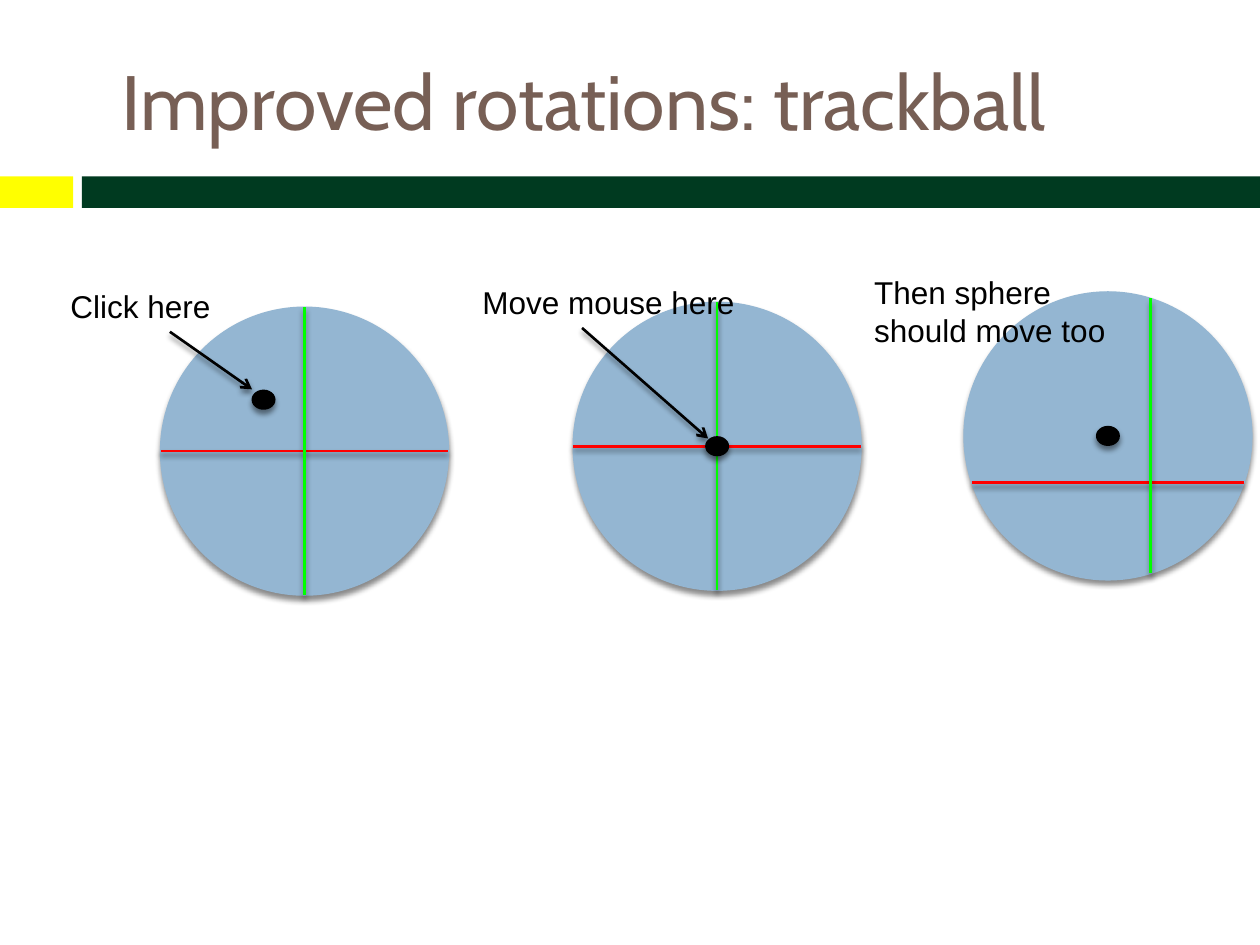
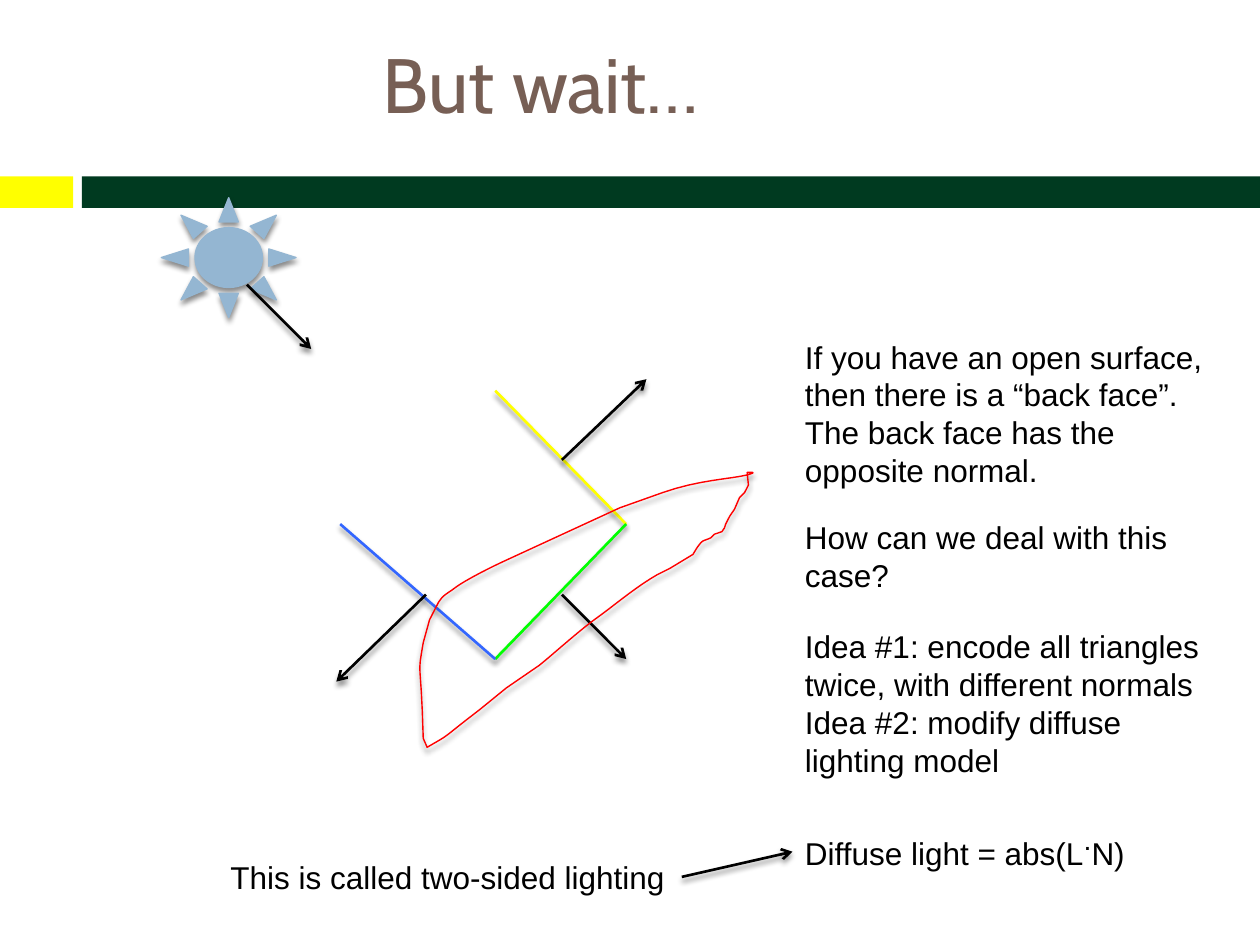
import math
from dataclasses import dataclass

import lxml.etree
import pptx
import pptx.dml.color
import pptx.enum.shapes
import pptx.enum.text
import pptx.oxml.ns
import pptx.util

Pt = pptx.util.Pt
qn = pptx.oxml.ns.qn
SHAPE = pptx.enum.shapes.MSO_SHAPE


@dataclass(frozen=True)
class Theme:
    title_font: str = "Cabin"
    body_font: str = "Arial"
    title_size: float = 44
    body_size: float = 18
    dot_size: float = 28
    line: float = 1.5
    outline: float = 0.79
    title: str = "775F55"
    black: str = "000000"
    sphere: str = "94B6D2"
    red: str = "FF0000"
    green: str = "00FF00"
    blue: str = "3366FF"
    yellow: str = "FFFF00"
    band: str = "003A20"


THEME = Theme()
TITLE_FORMAT = {"name": THEME.title_font, "size": Pt(THEME.title_size)}
BODY_FORMAT = {"name": THEME.body_font, "size": Pt(THEME.body_size)}
SHADOW = {"blurRad": Pt(3), "dist": Pt(2.4), "dir": 90 * 60000, "rotWithShape": 0}

# Boxes are (left, top, width, height); every length is in points.
BANDS = [((0, 100.8, 41.8, 18), THEME.yellow), ((46.8, 100.8, 673.2, 18), THEME.band)]

TRACKBALL_TITLE = ("Improved rotations: trackball", (48.2, 18, 571, 77.8))
BALL_DIAMETER = 164.5
DOT_SIZE = (13.7, 11.5)
POINTER_OFFSET = (64, 29)
# centre of the ball, shift of its axes, shift of the clicked dot
TRACKBALLS = [
    {"centre": (174, 257.8), "axes": (0, 0), "dot": (-23.4, -29.4), "pointer_end": (144, 222.5),
     "caption": "Click here", "box": (33.1, 160.6, 95, 28.8), "wrap": False},
    {"centre": (409.8, 255), "axes": (0, 0), "dot": (0, 0), "pointer_end": (404.6, 250.6),
     "caption": "Move mouse here", "box": (268.6, 158.4, 159.8, 28.8), "wrap": False},
    {"centre": (633.1, 249.1), "axes": (24.4, 26.6), "dot": (0, 0), "pointer_end": None,
     "caption": "Then sphere should move too", "box": (492.5, 152.6, 172.8, 51.1), "wrap": True},
]

LIGHTING_TITLE = ("But wait…", (-9.4, 8.6, 637.2, 77.8))
SUN = (92.2, 113, 77, 68.4)
UPPER_CORNER, LOWER_CORNER = (357.8, 299.5), (283, 376.6)
SURFACE = [
    (UPPER_CORNER, (283, 223.2), THEME.yellow),
    (UPPER_CORNER, LOWER_CORNER, THEME.green),
    ((194.4, 299.5), LOWER_CORNER, THEME.blue),
]
ARROWS = [
    ((321.1, 339.8), (357.8, 376.6)),
    ((321.1, 262.8), (369.4, 216.7)),
    ((243.4, 339.8), (192.2, 389.5)),
    ((141.1, 162.7), (177.8, 199.4)),
]
# Two numbers are a straight step, six are a cubic curve.
LASSO_START = (427, 271.4)
LASSO = [
    (418.3, 273.6, 398.9, 274.3, 378.7, 281.5), (354.2, 290.2), (290.2, 319.7),
    (282.2, 323.3, 266.4, 331.2, 260.6, 335.5), (254.9, 339.8, 253.4, 339.8, 250.6, 344.2),
    (245.5, 354.2), (241.9, 367.2), (238.3, 388.1, 240.5, 373, 241.9, 421.9), (244.1, 427),
    (259.2, 418.3, 249.8, 424.1, 274.3, 405.4), (289.4, 393.1), (308.2, 380.2),
    (319.7, 370.8, 331.2, 360, 343.4, 351.4), (354.2, 343.4, 364.3, 334.8, 375.8, 328.3),
    (383, 324.7), (392.4, 319), (396, 316.8), (398.2, 313.2),
    (401.8, 308.2, 401, 309.6, 406.1, 307.4), (408.2, 305.3), (412.6, 303.8), (414, 301.7),
    (414.7, 299.5), (416.9, 295.2), (419.8, 290.9), (422.6, 284.4), (425.5, 281.5),
    (427.7, 277.2), (427, 270), (426.2, 270, 434.9, 269.3, 427, 271.4),
]
NOTES_LEFT, NOTES_WIDTH = 452.9, 255.6
NOTES = [
    (189.4, 94.3, ["If you have an open surface, then there is a “back face”.",
                   "The back face has the opposite normal."]),
    (292.3, 51.1, ["How can we deal with this case?"]),
    (355, 160.6, ["Idea #1: encode all triangles", "twice, with different normals",
                  "Idea #2: modify diffuse lighting model"]),
]
FORMULA = ("Diffuse light = abs(L", ".", "N)")
FORMULA_GAP = 21.5
CONCLUSION = ("This is called two-sided lighting", (124.6, 486.7, 265, 28.8))
CONCLUSION_ARROW_END = (452.9, 486.7)


def color(value):
    return pptx.dml.color.RGBColor.from_string(value)


def points(values):
    return [Pt(value) for value in values]


def set_font(font, values, font_color):
    for name, value in values.items():
        setattr(font, name, value)
    font.color.rgb = color(font_color)


def add_shadow(shape):
    """Give the shape the soft drop shadow; call after fill and line are set."""
    effects = lxml.etree.SubElement(shape.element.spPr, qn("a:effectLst"))
    shadow = lxml.etree.SubElement(effects, qn("a:outerShdw"))
    for name, value in SHADOW.items():
        shadow.set(name, str(value))
    shade = lxml.etree.SubElement(shadow, qn("a:srgbClr"), val=THEME.black)
    lxml.etree.SubElement(shade, qn("a:alpha"), val="45000")


def add_filled(slide, kind, box, fill, outlined=False):
    shape = slide.shapes.add_shape(kind, *points(box))
    shape.fill.solid()
    shape.fill.fore_color.rgb = color(fill)
    if outlined:
        shape.line.color.rgb = color(fill)
        shape.line.width = Pt(THEME.outline)
    else:
        shape.line.fill.background()
    return shape


def add_line(slide, start, end, line_color=THEME.black, arrow=False):
    line = slide.shapes.add_connector(
        pptx.enum.shapes.MSO_CONNECTOR.STRAIGHT, *points((*start, *end)))
    line.line.color.rgb = color(line_color)
    line.line.width = Pt(THEME.line)
    if arrow:
        lxml.etree.SubElement(line.element.spPr.find(qn("a:ln")), qn("a:tailEnd"), type="arrow")
    add_shadow(line)
    return line


def add_text(slide, box, lines, wrap=True):
    text_box = slide.shapes.add_textbox(*points(box))
    frame = text_box.text_frame
    frame.word_wrap = wrap
    frame.auto_size = pptx.enum.text.MSO_AUTO_SIZE.SHAPE_TO_FIT_TEXT
    frame.text = "\n".join(lines)
    for paragraph in frame.paragraphs:
        for run in paragraph.runs:
            set_font(run.font, BODY_FORMAT, THEME.black)
    return text_box


def add_formula(text_box):
    """Append the formula, its product dot raised, to the text box."""
    paragraph = text_box.text_frame.add_paragraph()
    paragraph.space_before = Pt(FORMULA_GAP)
    for text in FORMULA:
        run = paragraph.add_run()
        run.text = text
        set_font(run.font, BODY_FORMAT, THEME.black)
    paragraph.runs[1].font.size = Pt(THEME.dot_size)
    list(text_box.element.iter(qn("a:rPr")))[-2].set("baseline", "30000")


def add_title_slide(presentation, text, box):
    slide = presentation.slides.add_slide(presentation.slide_layouts.get_by_name("Title Only"))
    title = slide.shapes.title
    title.left, title.top, title.width, title.height = points(box)
    frame = title.text_frame
    frame.text = text
    frame.auto_size = pptx.enum.text.MSO_AUTO_SIZE.NONE
    frame.vertical_anchor = pptx.enum.text.MSO_ANCHOR.MIDDLE
    frame.paragraphs[0].alignment = pptx.enum.text.PP_ALIGN.CENTER
    set_font(frame.paragraphs[0].runs[0].font, TITLE_FORMAT, THEME.title)
    return slide


def move_bands_to_layout(slide):
    """Draw the bands and hand them to the layout that all slides share."""
    for shape_id, (box, fill) in enumerate(BANDS, start=101):
        band = add_filled(slide, SHAPE.RECTANGLE, box, fill)
        band.shadow.inherit = False
        band.element.nvSpPr.cNvPr.set("id", str(shape_id))
        slide.slide_layout.shapes.element.append(band.element)


def add_trackball(slide, ball):
    x, y = ball["centre"]
    radius = BALL_DIAMETER / 2
    add_shadow(add_filled(slide, SHAPE.OVAL, (x - radius, y - radius, BALL_DIAMETER, BALL_DIAMETER),
                          THEME.sphere, outlined=True))
    across, down = ball["axes"]
    half_width = math.sqrt(radius ** 2 - down ** 2)
    half_height = math.sqrt(radius ** 2 - across ** 2)
    add_line(slide, (x - half_width, y + down), (x + half_width, y + down), THEME.red)
    add_line(slide, (x + across, y + half_height), (x + across, y - half_height), THEME.green)
    corner = [centre + shift - size / 2
              for centre, shift, size in zip(ball["centre"], ball["dot"], DOT_SIZE)]
    add_shadow(add_filled(slide, SHAPE.OVAL, (*corner, *DOT_SIZE), THEME.black))
    add_text(slide, ball["box"], [ball["caption"]], ball["wrap"])
    if ball["pointer_end"]:
        start = [edge + offset for edge, offset in zip(ball["box"], POINTER_OFFSET)]
        add_line(slide, start, ball["pointer_end"], arrow=True)


def lasso_vertices(steps=8):
    current = LASSO_START
    for segment in LASSO:
        end = segment[-2:]
        if len(segment) == 6:
            for step in range(1, steps):
                t = step / steps
                weights = ((1 - t) ** 3, 3 * t * (1 - t) ** 2, 3 * t ** 2 * (1 - t), t ** 3)
                corners = (current, segment[:2], segment[2:4], end)
                yield tuple(Pt(sum(weight * corner[axis] for weight, corner in zip(weights, corners)))
                            for axis in (0, 1))
        yield tuple(points(end))
        current = end


def add_lasso(slide):
    builder = slide.shapes.build_freeform(*points(LASSO_START))
    builder.add_line_segments(list(lasso_vertices()), close=True)
    lasso = builder.convert_to_shape()
    lasso.fill.background()
    lasso.line.color.rgb = color(THEME.red)
    lasso.line.width = Pt(THEME.outline)
    add_shadow(lasso)


def build_trackball_slide(presentation):
    slide = add_title_slide(presentation, *TRACKBALL_TITLE)
    move_bands_to_layout(slide)
    for ball in TRACKBALLS:
        add_trackball(slide, ball)


def build_lighting_slide(presentation):
    slide = add_title_slide(presentation, *LIGHTING_TITLE)
    add_shadow(add_filled(slide, SHAPE.SUN, SUN, THEME.sphere, outlined=True))
    for start, end, line_color in SURFACE:
        add_line(slide, start, end, line_color)
    for start, end in ARROWS:
        add_line(slide, start, end, arrow=True)
    add_lasso(slide)
    for top, height, lines in NOTES:
        note = add_text(slide, (NOTES_LEFT, top, NOTES_WIDTH, height), lines)
    add_formula(note)
    text, box = CONCLUSION
    conclusion = add_text(slide, box, [text], wrap=False)
    right_middle = (box[0] + box[2], box[1] + box[3] / 2)
    arrow = add_line(slide, right_middle, CONCLUSION_ARROW_END, arrow=True)
    arrow.begin_connect(conclusion, 3)


def main():
    presentation = pptx.Presentation()
    presentation.slide_width, presentation.slide_height = Pt(720), Pt(540)
    build_trackball_slide(presentation)
    build_lighting_slide(presentation)
    presentation.save("out.pptx")


if __name__ == "__main__":
    main()
